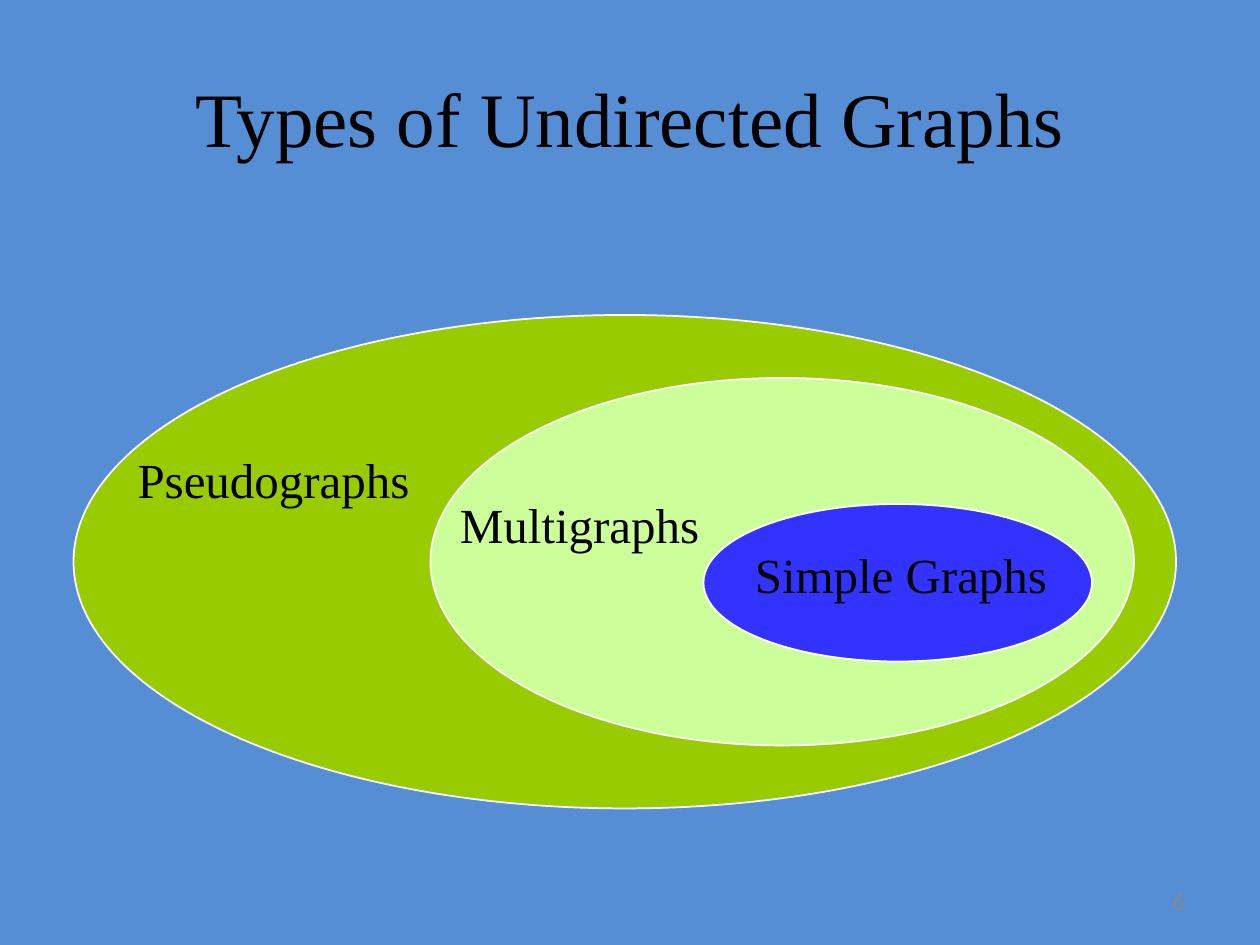
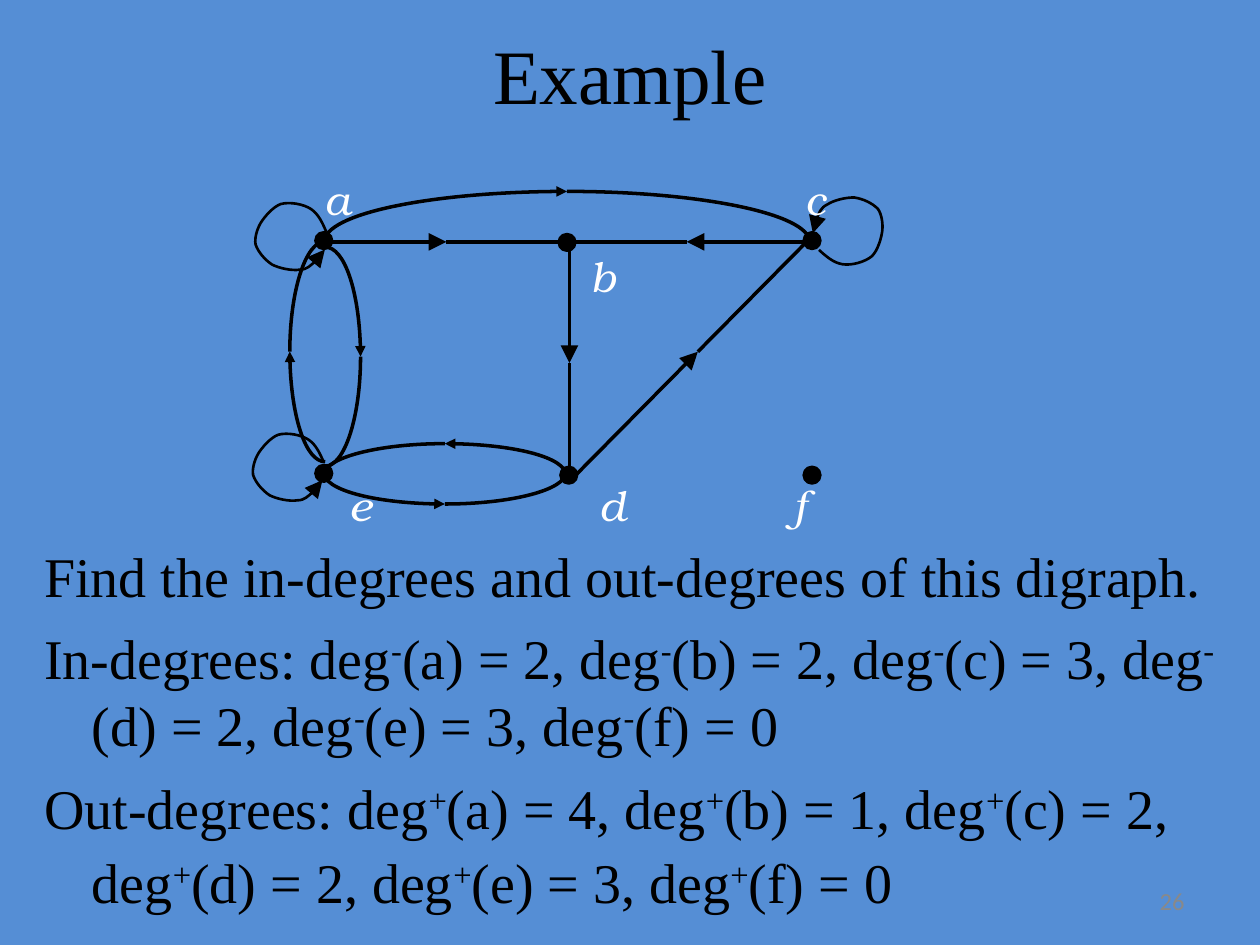
from math import cos, sin, radians

from lxml import etree
from pptx import Presentation
from pptx.dml.color import RGBColor
from pptx.enum.shapes import MSO_CONNECTOR as Connector, MSO_SHAPE as Shape
from pptx.enum.text import MSO_ANCHOR as Anchor, MSO_AUTO_SIZE as AutoSize, PP_ALIGN as Align
from pptx.oxml.ns import qn
from pptx.util import Pt

SKY = RGBColor(0x55, 0x8E, 0xD5)
BLACK = RGBColor(0, 0, 0)
WHITE = RGBColor(255, 255, 255)
GREY = RGBColor(0x89, 0x89, 0x89)
OLIVE = RGBColor(0x99, 0xCC, 0x00)
MINT = RGBColor(0xCC, 0xFF, 0x99)
BLUE = RGBColor(0x33, 0x33, 0xFF)

SERIF = "Times New Roman"
TITLE = {"name": SERIF, "size": Pt(44), "color": BLACK}
BODY = {"name": SERIF, "size": Pt(32), "color": BLACK}
SET_LABEL = {"name": SERIF, "size": Pt(28), "color": BLACK}
NODE_LABEL = {"name": "TeX Gyre Bonum", "size": Pt(24), "italic": True, "color": WHITE}
NUMBER = {"size": Pt(14), "color": GREY}

SETS = [
    ("Pseudographs", OLIVE, (0, 0, 630, 282), (29.3, 77.8, 169.9, 36.7)),
    ("Multigraphs", MINT, (204, 36, 402, 210), (213.6, 103.7, 151.2, 36.7)),
    ("Simple Graphs", BLUE, (360, 108, 222, 90), (382.1, 131.8, 181.4, 36.7)),
]
INNER_PLATE = (389.3, 131.8, 167, 36)

NODES = {
    "a": (40, 30),
    "b": (179, 31),
    "c": (319, 30),
    "d": (180, 164),
    "e": (40, 163),
    "f": (319, 164),
}
LABEL_BOX = (33.6, -11.7, 337.7, 211.7)
LABEL_ROWS = [
    ("a\tc", [274.3], 0),
    ("\tb", [151.5], 15),
    ("\te\td\tf", [14, 157, 267], 102),
]
STRAIGHT_EDGES = [
    ((39, 30.7), (177, 30.7)),
    ((319, 30.7), (180, 30.7)),
    ((180.4, 32), (180.4, 164)),
    ((184.8, 163.2), (318.7, 27.9)),
]
TIP_SHARE = 0.515
CURVED_EDGES = [
    ((179, 30.7), (138.6, 28.8), 180, 90),
    ((109.2, 162.5), (69.1, 18), 180, -90),
    ((109.2, 164), (69.1, 18), 0, -90),
    ((40.8, 96.3), (20.2, 62.6), -90, 90),
    ((40.8, 93.4), (20.2, 63), 90, 90),
]
ARC_PULL = 0.55
SELF_LOOPS = [((21.3, 27.5), 0), ((19.9, 159.3), 0), ((340.3, 24.6), 155.3)]
LOOP_CURVE = [
    (20.2, -2.5), (18, -7.6), (15.8, -12.6), (11.5, -15.5),
    (7.2, -18.4), (-0.7, -19.8), (-5.8, -18.4),
    (-10.1, -16.9), (-15.1, -11.2), (-17.3, -7.6),
    (-19.4, -4), (-20.9, 1.1), (-20.2, 4.7),
    (-18.7, 9), (-15.1, 13.3), (-10.8, 16.2),
    (-6.5, 18.4), (0.7, 19.8), (5, 19.1),
    (9.4, 19.1), (13.7, 14), (16.6, 12.6),
    (18.7, 10.4), (18.7, 8.3), (19.4, 7.6),
]

DEGREES = [
    ("Find the in-degrees and out-degrees of this digraph.", "", "", 0),
    ("In-degrees: ", "-", "223230", 8),
    ("Out-degrees: ", "+", "412230", 9),
]


def apply_font(font, style):
    for attribute, value in style.items():
        if attribute == "color":
            font.color.rgb = value
        else:
            setattr(font, attribute, value)


def place(shape, box):
    for attribute, value in zip(("left", "top", "width", "height"), box):
        setattr(shape, attribute, Pt(value))


def write_line(frame, text, style, align):
    frame.vertical_anchor = Anchor.MIDDLE
    paragraph = frame.paragraphs[0]
    paragraph.text = text
    paragraph.alignment = align
    apply_font(paragraph.font, style)
    return paragraph


def shifted(box, left, top):
    return left + box[0], top + box[1], box[2], box[3]


def add_preset(slide, preset, box, fill=None, outline=None):
    shape = slide.shapes.add_shape(preset, *map(Pt, box))
    shape.shadow.inherit = False
    if fill is None:
        shape.fill.background()
    else:
        shape.fill.solid()
        shape.fill.fore_color.rgb = fill
    if outline is None:
        shape.line.fill.background()
    else:
        shape.line.color.rgb = outline
        shape.line.width = Pt(1)
    return shape


def add_plate(slide, box, fill=None):
    plate = add_preset(slide, Shape.ROUNDED_RECTANGLE, box, fill)
    plate.adjustments[0] = 0
    return plate


def ink_line(line, width, tip=None):
    line.color.rgb = BLACK
    line.width = Pt(width)
    if tip:
        etree.SubElement(line._get_or_add_ln(), qn("a:tailEnd"), type="triangle", w=tip, len=tip)


def add_segment(slide, start, end, tip=None):
    segment = slide.shapes.add_connector(Connector.STRAIGHT, *map(Pt, (*start, *end)))
    ink_line(segment.line, 2, tip)
    etree.SubElement(segment._element.spPr, qn("a:effectLst"))


def add_curve(slide, controls, width, tip=None):
    points = [(Pt(x), Pt(y)) for x, y in controls]
    builder = slide.shapes.build_freeform(*points[0])
    builder.add_line_segments(points[1:], close=False)
    curve = builder.convert_to_shape()
    outline = next(curve._element.iter(qn("a:pathLst")))[0]
    sides = outline.findall(qn("a:lnTo"))
    for first in range(0, len(sides), 3):
        bend = etree.SubElement(outline, qn("a:cubicBezTo"))
        for side in sides[first:first + 3]:
            bend.append(side[0])
            outline.remove(side)
    curve.shadow.inherit = False
    curve.fill.background()
    ink_line(curve.line, width, tip)


def quarter_arc(centre, radii, start, sweep):
    t, u = radians(start), radians(start + sweep)
    first, last = (cos(t), sin(t)), (cos(u), sin(u))
    pulls = [(1, 0), (1, ARC_PULL), (ARC_PULL, 1), (0, 1)]
    return [tuple(centre[i] + radii[i] * (p * first[i] + q * last[i]) for i in (0, 1))
            for p, q in pulls]


def turned(points, centre, degrees):
    c, s = cos(radians(degrees)), sin(radians(degrees))
    return [(centre[0] + x * c - y * s, centre[1] + x * s + y * c) for x, y in points]


def add_slide(prs, layout, title, title_box, number):
    slide = prs.slides.add_slide(prs.slide_layouts[layout])
    heading = slide.shapes.title
    place(heading, title_box)
    heading.text_frame.auto_size = AutoSize.NONE
    write_line(heading.text_frame, title, TITLE, Align.CENTER)
    page = slide.shapes.add_textbox(*map(Pt, (516, 500.5, 168, 28.75)))
    page.text_frame.word_wrap = True
    write_line(page.text_frame, number, NUMBER, Align.RIGHT)
    return slide


def add_nested_sets(slide, left, top):
    for name, fill, oval_box, label_box in SETS:
        add_preset(slide, Shape.OVAL, shifted(oval_box, left, top), fill, WHITE)
        if fill == BLUE:
            add_plate(slide, shifted(INNER_PLATE, left, top), BLUE)
        label = add_plate(slide, shifted(label_box, left, top))
        label.text_frame.word_wrap = False
        write_line(label.text_frame, name, SET_LABEL, Align.CENTER).line_spacing = 0.87


def add_node_labels(slide, box):
    frame = slide.shapes.add_textbox(*map(Pt, box)).text_frame
    frame.word_wrap = True
    for index, (text, stops, space) in enumerate(LABEL_ROWS):
        row = frame.add_paragraph() if index else frame.paragraphs[0]
        row.text = text
        row.space_before = Pt(space)
        tabs = etree.SubElement(row._p.get_or_add_pPr(), qn("a:tabLst"))
        for stop in stops:
            etree.SubElement(tabs, qn("a:tab"), pos=str(Pt(stop)), algn="l")
        apply_font(row.font, NODE_LABEL)


def add_digraph(slide, left, top):
    def at(point):
        return left + point[0], top + point[1]

    for start, end in STRAIGHT_EDGES:
        tip = tuple(s + TIP_SHARE * (e - s) for s, e in zip(start, end))
        add_segment(slide, at(start), at(tip), "lg")
        add_segment(slide, at(tip), at(end))
    for x, y in NODES.values():
        add_preset(slide, Shape.OVAL, shifted((x - 5, y - 5, 10, 10), left, top), BLACK, BLACK)
    for centre, degrees in SELF_LOOPS:
        add_curve(slide, turned(LOOP_CURVE, at(centre), degrees), 1.5, "lg")
    for centre, radii, start, sweep in CURVED_EDGES:
        add_curve(slide, quarter_arc(at(centre), radii, start, sweep), 2, "med")
        add_curve(slide, quarter_arc(at(centre), radii, start + sweep, sweep), 2)
    add_node_labels(slide, shifted(LABEL_BOX, left, top))


def add_degrees(slide, box):
    body = slide.placeholders[1]
    place(body, box)
    frame = body.text_frame
    frame.auto_size = AutoSize.NONE
    for index, (lead, sign, values, space) in enumerate(DEGREES):
        paragraph = frame.add_paragraph() if index else frame.paragraphs[0]
        paragraph.space_before = Pt(space)
        properties = paragraph._p.get_or_add_pPr()
        properties.set("marL", str(Pt(27.36)))
        properties.set("indent", str(-Pt(27.36)))
        etree.SubElement(properties, qn("a:buNone"))
        apply_font(paragraph.font, BODY)
        text = lead
        for node, value in zip(NODES, values):
            paragraph.add_run().text = text + "deg"
            raised = paragraph.add_run()
            raised.text = sign
            raised._r.get_or_add_rPr().set("baseline", "30000")
            text = f"({node}) = {value}, "
        paragraph.add_run().text = text.removesuffix(", ")
    closing_space = paragraph.add_run()
    closing_space.text = " "
    closing_space.font.size = Pt(36)


def main():
    prs = Presentation()
    prs.slide_width, prs.slide_height = Pt(720), Pt(540)
    backdrop = prs.slide_master.background.fill
    backdrop.solid()
    backdrop.fore_color.rgb = SKY

    types = add_slide(prs, 5, "Types of Undirected Graphs", (36, 21.6, 648, 90), "6")
    add_nested_sets(types, 42, 180)

    example = add_slide(prs, 1, "Example", (18, 12, 684, 60), "26")
    add_digraph(example, 145, 107.5)
    add_degrees(example, (18, 306, 684, 222))
    prs.save("out.pptx")


if __name__ == "__main__":
    main()
